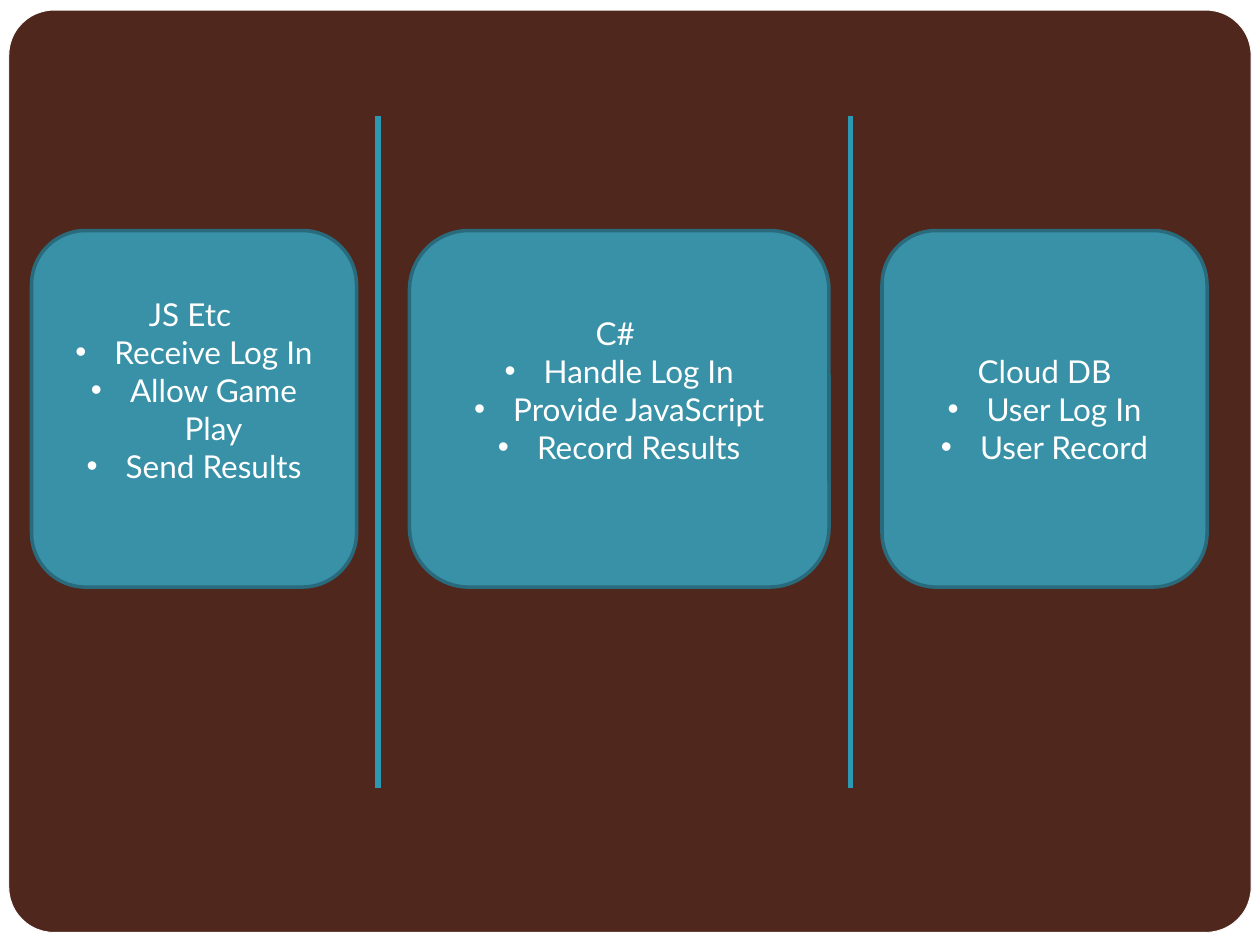
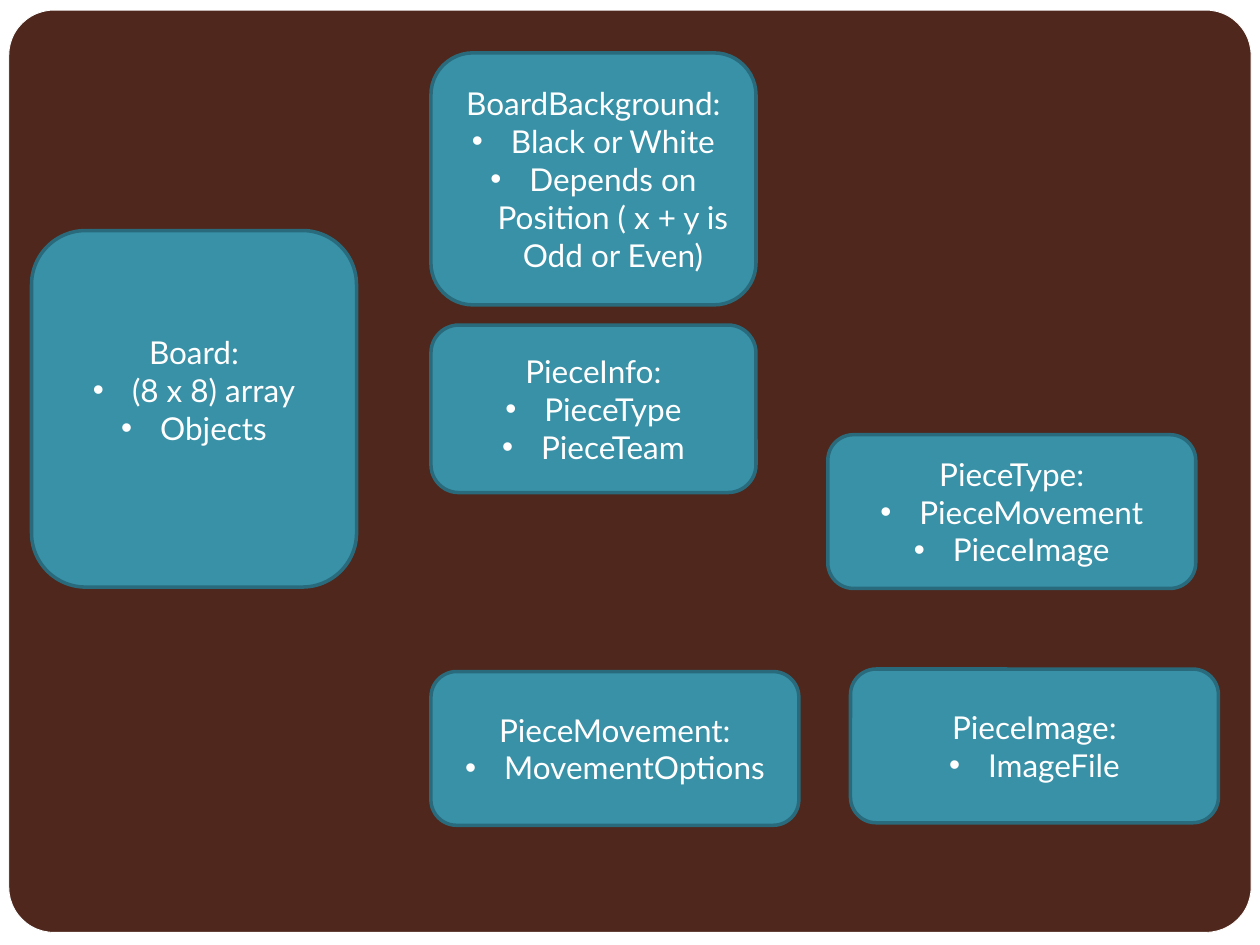
from pptx import Presentation
from pptx.dml.color import RGBColor
from pptx.enum.shapes import MSO_CONNECTOR as Connector, MSO_SHAPE as Shape
from pptx.enum.text import MSO_ANCHOR as Anchor, PP_ALIGN as Align
from pptx.oxml.ns import qn
from pptx.util import Inches, Pt
from lxml import etree

# Shared look
WHITE, BROWN = "FFFFFF", "4F271C"
TEAL, TEAL_EDGE, DIVIDER = "3891A7", "296B7C", "2D98B2"
FONT, TEXT_SIZE = "Lato", 18
BULLET_INDENT = 0.31
INSET, TEXT_LINE = 0.05, 0.3

# Shared positions
MAIN_TOP, MAIN_HEIGHT = 1.83, 2.83
SIDE_WIDTH = 2.58
CLASS_LEFT = 3.42
PIECE_WIDTH, PIECE_HEIGHT = 2.92, 1.22


def rgb(colour):
    return RGBColor.from_string(colour)


def add_rounded(slide, box, fill, edge, edge_width):
    rounded = slide.shapes.add_shape(
        Shape.ROUNDED_RECTANGLE, *(Inches(length) for length in box))
    rounded.shadow.inherit = False
    rounded.fill.solid()
    rounded.fill.fore_color.rgb = rgb(fill)
    rounded.line.color.rgb = rgb(edge)
    rounded.line.width = Pt(edge_width)
    return rounded


def add_slide(deck):
    """A white slide with the brown rounded panel."""
    slide = deck.slides.add_slide(deck.slide_layouts[6])
    slide.background.fill.solid()
    slide.background.fill.fore_color.rgb = rgb(WHITE)
    panel = add_rounded(slide, (0.07, 0.08, 9.86, 7.32), BROWN, WHITE, 0.5)
    panel.adjustments[0] = 0.049
    return slide


def add_bullet(paragraph):
    properties = paragraph._p.get_or_add_pPr()
    properties.set("marL", str(Inches(BULLET_INDENT)))
    properties.set("indent", str(-Inches(BULLET_INDENT)))
    etree.SubElement(properties, qn("a:buFont")).set("typeface", "Arial")
    etree.SubElement(properties, qn("a:buChar")).set("char", "•")


def add_card(slide, box, heading, items, raised=False):
    """A teal card; raised text sits half a line above the middle."""
    card = add_rounded(slide, box, TEAL, TEAL_EDGE, 2)
    frame = card.text_frame
    frame.word_wrap = True
    frame.vertical_anchor = Anchor.MIDDLE
    frame.margin_bottom = Inches(INSET + (TEXT_LINE if raised else 0))
    for index, line in enumerate([heading, *items]):
        paragraph = frame.add_paragraph() if index else frame.paragraphs[0]
        paragraph.text = line
        paragraph.alignment = Align.CENTER
        paragraph.font.name = FONT
        paragraph.font.size = Pt(TEXT_SIZE)
        paragraph.font.color.rgb = rgb(WHITE)
        if index:
            add_bullet(paragraph)


def add_divider(slide, x):
    divider = slide.shapes.add_connector(
        Connector.STRAIGHT, Inches(x), Inches(0.92), Inches(x), Inches(6.25))
    divider.line.color.rgb = rgb(DIVIDER)
    divider.line.width = Pt(3)
    etree.SubElement(divider._element.spPr, qn("a:effectLst"))


def build_tiers(deck):
    """Client, server and database, side by side."""
    slide = add_slide(deck)
    for x in (3, 6.75):
        add_divider(slide, x)
    tiers = [
        (7, SIDE_WIDTH, "Cloud DB", ["User Log In", "User Record"], False),
        (3.25, 3.33, "C# ",
         ["Handle Log In", "Provide JavaScript", "Record Results"], True),
        (0.25, SIDE_WIDTH, "JS Etc ",
         ["Receive Log In", "Allow Game Play", "Send Results"], True),
    ]
    for left, width, heading, items, raised in tiers:
        add_card(slide, (left, MAIN_TOP, width, MAIN_HEIGHT),
                 heading, items, raised)


def build_classes(deck):
    """The board and the classes it is made of."""
    slide = add_slide(deck)
    add_card(slide, (0.25, MAIN_TOP, SIDE_WIDTH, MAIN_HEIGHT),
             "Board:", ["(8 x 8) array", "Objects"], raised=True)
    # What each square holds
    add_card(slide, (CLASS_LEFT, 0.42, SIDE_WIDTH, 2), "BoardBackground:",
             ["Black or White", "Depends on Position ( x + y is Odd or Even)"])
    add_card(slide, (CLASS_LEFT, 2.58, SIDE_WIDTH, 1.33), "PieceInfo:",
             ["PieceType", "PieceTeam"])
    # Details of a piece
    pieces = [
        (CLASS_LEFT, 5.33, "PieceMovement:", ["MovementOptions"]),
        (6.57, 3.45, "PieceType:", ["PieceMovement", "PieceImage"]),
        (6.75, 5.31, "PieceImage:", ["ImageFile"]),
    ]
    for left, top, heading, items in pieces:
        add_card(slide, (left, top, PIECE_WIDTH, PIECE_HEIGHT), heading, items)


def main():
    deck = Presentation()
    deck.slide_width, deck.slide_height = Inches(10), Inches(7.5)
    build_tiers(deck)
    build_classes(deck)
    deck.save("out.pptx")


main()
